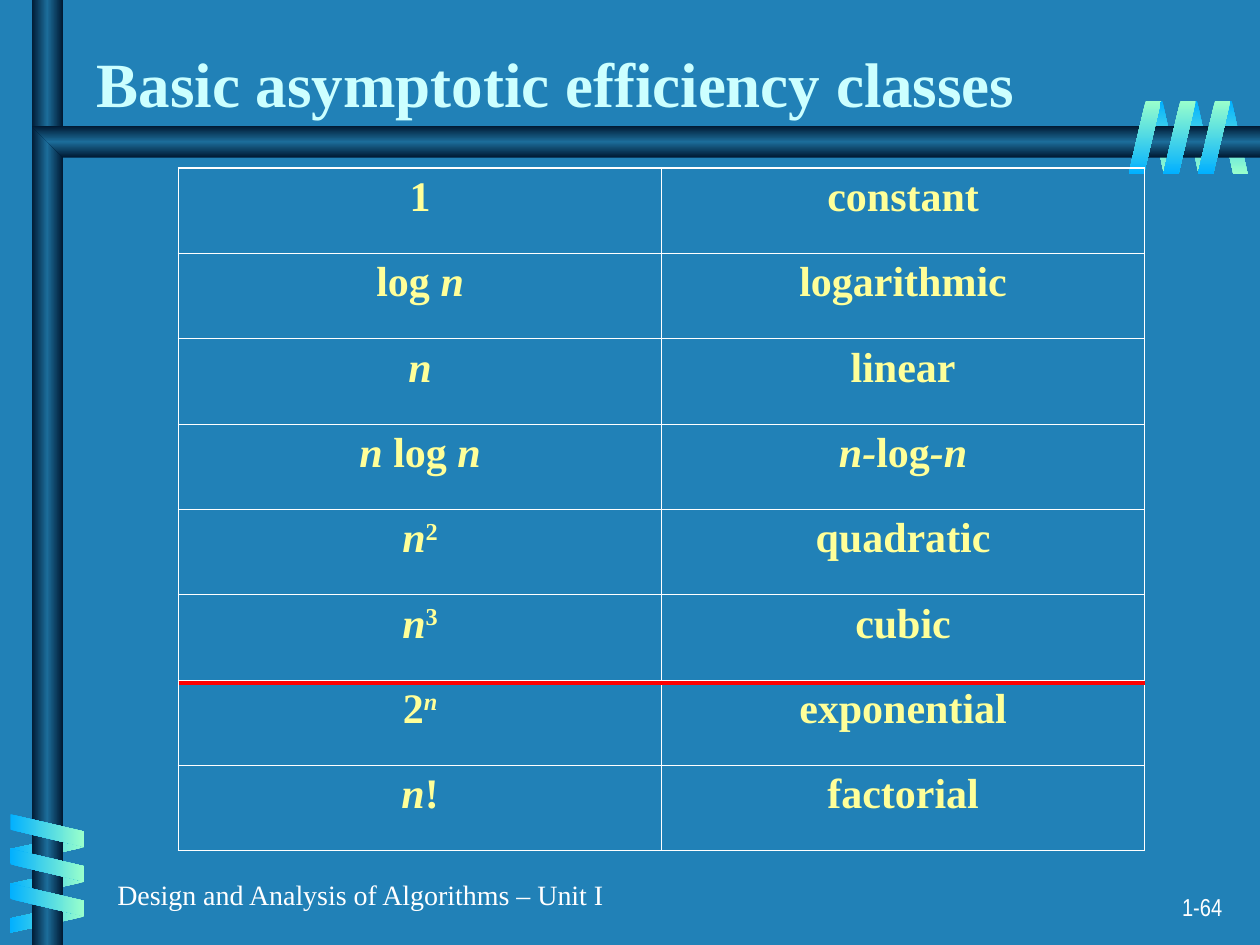
"""Builds the slide on asymptotic efficiency classes on a quarter-inch grid."""
from typing import NamedTuple

from lxml.etree import SubElement
from pptx import Presentation
from pptx.dml.color import RGBColor
from pptx.enum.shapes import MSO_CONNECTOR, MSO_SHAPE
from pptx.enum.text import MSO_ANCHOR, PP_ALIGN
from pptx.oxml.ns import qn
from pptx.util import Inches, Pt

COLUMNS, ROWS = 40, 30
UNIT = Inches(0.25)
SERIF = "Times New Roman"
BLUE, MINT, WHITE = "01B0FF", "99FFCC", "FFFFFF"
TUBE = ("001932", "1C6D9A", "001932")
COIL_STEP, COIL_TURNS = 1.1, 3


class Area(NamedTuple):
    col: float
    row: float
    cols: float
    rows: float


class Coil(NamedTuple):
    first: Area
    rotation: int
    flipped: bool
    colors: tuple[str, str]
    upright: bool


class Piece(NamedTuple):
    text: str
    italic: bool = False
    raised: bool = False


TABLE = Area(5.67, 5.33, 30.67, 21.67)
BACK_COILS = (
    Coil(Area(36.45, 3.2, 0.96, 2.33), 180, True, (BLUE, MINT), False),
    Coil(Area(1.02, 25.76, 0.96, 2.33), 90, True, (MINT, BLUE), True),
)
FRONT_COILS = (
    Coil(Area(0.98, 25.2, 1.03, 2.33), 270, False, (BLUE, MINT), True),
    Coil(Area(35.83, 3.2, 1.03, 2.33), 0, False, (MINT, BLUE), False),
)
N = Piece("n", italic=True)
CLASSES = (
    ([Piece("1")], [Piece("constant")]),
    ([Piece("log "), N], [Piece("logarithmic")]),
    ([N], [Piece("linear")]),
    ([Piece("n ", True), Piece("log "), N],
     [Piece("n-", True), Piece("log"), Piece("-n", True)]),
    ([N, Piece("2", raised=True)], [Piece("quadratic")]),
    ([N, Piece("3", raised=True)], [Piece("cubic")]),
    ([Piece("2"), Piece("n", True, True)], [Piece("exponential")]),
    ([N, Piece("!")], [Piece("factorial")]),
)


def color(value: str) -> RGBColor:
    return RGBColor.from_string(value)


def grid(*places: float) -> list[int]:
    return [round(place * UNIT) for place in places]


def style(font, size: float, hue: str, face: str = SERIF, bold: bool = False) -> None:
    font.size, font.name, font.bold = Pt(size), face, bold
    font.color.rgb = color(hue)


def shade(shape, colors: tuple[str, ...], angle: int) -> None:
    shape.shadow.inherit = False
    shape.line.fill.background()
    shape.fill.gradient()
    gradient = shape._element.spPr.find(qn("a:gradFill"))
    gradient.set("rotWithShape", "0")
    gradient.find(qn("a:lin")).set("ang", str(angle * 60000))
    stops = gradient.find(qn("a:gsLst"))
    for stop in list(stops):
        stops.remove(stop)
    for index, hue in enumerate(colors):
        position = 100000 * index // (len(colors) - 1)
        stop = SubElement(stops, qn("a:gs"), pos=str(position))
        SubElement(stop, qn("a:srgbClr"), val=hue)


def draw_coil(slide, coil: Coil) -> None:
    for turn in range(COIL_TURNS):
        shift = turn * COIL_STEP
        col = coil.first.col + (0 if coil.upright else shift)
        row = coil.first.row + (shift if coil.upright else 0)
        band = slide.shapes.add_shape(
            MSO_SHAPE.PARALLELOGRAM, *grid(col, row, coil.first.cols, coil.first.rows))
        band.adjustments[0] = 0.53
        band.rotation = coil.rotation
        if coil.flipped:
            band._element.spPr.find(qn("a:xfrm")).set("flipH", "1")
        shade(band, coil.colors, 0 if coil.upright else 90)


def draw_bars(slide) -> None:
    post = slide.shapes.add_shape(MSO_SHAPE.RECTANGLE, *grid(1, 0, 1, ROWS))
    shade(post, TUBE, 0)
    outline = slide.shapes.build_freeform(COLUMNS, 4, scale=float(UNIT))
    outline.add_line_segments([(2, 4), (1.32, 4.5), (2, 5), (COLUMNS, 5)])
    shade(outline.convert_to_shape(), TUBE, 90)


def draw_caption(slide, area: Area, text: str, size: float, face: str, align) -> None:
    frame = slide.shapes.add_textbox(*grid(*area)).text_frame
    frame.word_wrap = True
    frame.text = text
    frame.paragraphs[0].alignment = align
    style(frame.paragraphs[0].runs[0].font, size, WHITE, face)


def draw_title(slide, text: str) -> None:
    title = slide.shapes.title
    title.left, title.top, title.width, title.height = grid(2.67, 1, 33.2, 3)
    title.text_frame.text = text
    title.text_frame.vertical_anchor = MSO_ANCHOR.BOTTOM
    heading = title.text_frame.paragraphs[0]
    heading.alignment = PP_ALIGN.LEFT
    style(heading.runs[0].font, 36, "CCFFFF", bold=True)


def border(cell, outer_sides: dict[str, bool]) -> None:
    properties = cell._tc.get_or_add_tcPr()
    for side, outer in outer_sides.items():
        width = Pt(1.08 if outer else 0.45)
        edge = SubElement(properties, qn(f"a:ln{side}"), w=str(width))
        SubElement(SubElement(edge, qn("a:solidFill")), qn("a:srgbClr"), val=WHITE)


def write_pieces(cell, pieces: list[Piece]) -> None:
    paragraph = cell.text_frame.paragraphs[0]
    paragraph.alignment = PP_ALIGN.CENTER
    for piece in pieces:
        run = paragraph.add_run()
        run.text = piece.text
        style(run.font, 24, "FFFF99", bold=True)
        run.font.italic = piece.italic
        if piece.raised:
            run._r.get_or_add_rPr().set("baseline", "30000")


def draw_classes(slide) -> None:
    last_row, last_col = len(CLASSES) - 1, len(CLASSES[0]) - 1
    table = slide.shapes.add_table(last_row + 1, last_col + 1, *grid(*TABLE)).table
    table.first_row = table.horz_banding = False
    for r, entry in enumerate(CLASSES):
        for c, pieces in enumerate(entry):
            cell = table.cell(r, c)
            write_pieces(cell, pieces)
            border(cell, {"L": c == 0, "R": c == last_col, "T": r == 0, "B": r == last_row})
            cell.fill.background()


def draw_divider(slide) -> None:
    right = TABLE.col + TABLE.cols
    divider = slide.shapes.add_connector(
        MSO_CONNECTOR.STRAIGHT, *grid(TABLE.col, 21.67, right, 21.67))
    divider.line.color.rgb = color("FF0000")
    divider.line.width = Pt(2.25)
    SubElement(divider._element.spPr, qn("a:effectLst"))


def main() -> None:
    deck = Presentation()
    deck.slide_width, deck.slide_height = grid(COLUMNS, ROWS)
    slide = deck.slides.add_slide(deck.slide_layouts[5])
    slide.background.fill.solid()
    slide.background.fill.fore_color.rgb = color("2181B7")
    for coil in BACK_COILS:
        draw_coil(slide, coil)
    draw_bars(slide)
    for coil in FRONT_COILS:
        draw_coil(slide, coil)
    draw_caption(slide, Area(30.87, 28.13, 8.33, 1.33), "1-64", 14,
                 "Arial Narrow", PP_ALIGN.RIGHT)
    draw_caption(slide, Area(3.33, 27.67, 25.67, 1.47),
                 "Design and Analysis of Algorithms – Unit I", 16, SERIF, PP_ALIGN.LEFT)
    draw_title(slide, "Basic asymptotic efficiency classes")
    draw_classes(slide)
    draw_divider(slide)
    deck.save("out.pptx")


if __name__ == "__main__":
    main()
